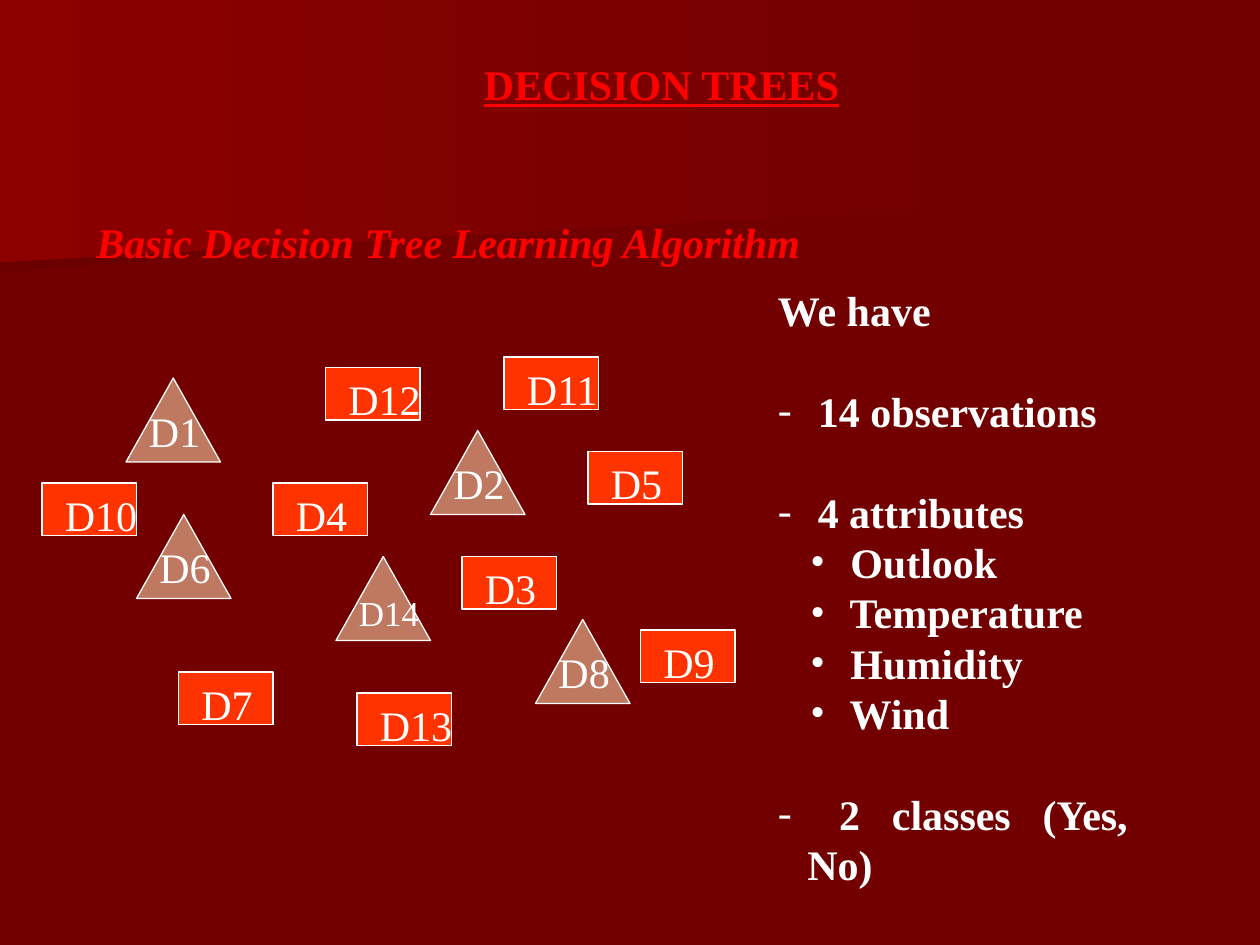
import pptx
import pptx.dml.color
import pptx.enum.shapes
import pptx.enum.text
import pptx.oxml
import pptx.oxml.ns
import pptx.util

RGBColor = pptx.dml.color.RGBColor
Shape = pptx.enum.shapes.MSO_SHAPE
Align = pptx.enum.text.PP_ALIGN

MAROON = RGBColor(0x72, 0x00, 0x00)
DARK_MAROON = RGBColor(0x6B, 0x00, 0x00)
CRIMSON = RGBColor(0x8C, 0x00, 0x00)
RED = RGBColor(0xFF, 0x00, 0x00)
ORANGE = RGBColor(0xFF, 0x33, 0x00)
CLAY = RGBColor(0xBE, 0x79, 0x60)
WHITE = RGBColor(0xFF, 0xFF, 0xFF)

PX = 7620
LINE_HEIGHT = 28.8

SQUARES = [
    ("D13", 340, 660), ("D12", 310, 350), ("D11", 480, 340),
    ("D10", 40, 460), ("D9", 610, 600), ("D4", 260, 460),
    ("D7", 170, 640), ("D5", 560, 430), ("D3", 440, 530),
]
TRIANGLES = [
    ("D14", 320, 530), ("D8", 510, 590), ("D6", 130, 490),
    ("D2", 410, 410), ("D1", 120, 360),
]
FACTS = [
    ("We have", None, 0, False),
    (" 14 observations", "-", 0, True),
    (" 4 attributes", "-", 0, True),
    (" Outlook", "•", 1, False),
    (" Temperature", "•", 1, False),
    (" Humidity", "•", 1, False),
    (" Wind", "•", 1, False),
    (" 2 classes (Yes, No)", "-", 0, True),
]


def px(*lengths):
    return [pptx.util.Emu(length * PX) for length in lengths]


class SlideBuilder:
    font = "Times New Roman"

    def __init__(self, slide):
        self.slide = slide
        fill = slide.background.fill
        fill.solid()
        fill.fore_color.rgb = MAROON

    def band(self, points, start, end):
        builder = self.slide.shapes.build_freeform(*points[0], scale=PX)
        builder.add_line_segments(points[1:], close=True)
        shape = builder.convert_to_shape()
        shape.shadow.inherit = False
        shape.line.fill.background()
        shape.fill.gradient()
        shape.fill.gradient_angle = 0
        for stop, color, position in zip(shape.fill.gradient_stops, (start, end), (0, 1)):
            stop.color.rgb = color
            stop.position = position

    def text_box(self, area, shapes=None):
        box = (shapes or self.slide.shapes).add_textbox(*px(*area))
        box.text_frame.word_wrap = True
        return box.text_frame

    def style(self, para, text, color=WHITE, size=24, bold=False):
        para.text = text
        font = para.font
        font.name = self.font
        font.size = pptx.util.Pt(size)
        font.bold = bold
        font.color.rgb = color
        para.line_spacing = pptx.util.Pt(LINE_HEIGHT * size / 24)

    def heading(self, text, area, align, underline=False, italic=False):
        para = self.text_box(area).paragraphs[0]
        self.style(para, text, RED, bold=True)
        para.alignment = align
        para.font.underline = underline
        para.font.italic = italic

    def marker(self, label, left, top, kind, height, color, drop):
        group = self.slide.shapes.add_group_shape()
        shape = group.shapes.add_shape(kind, *px(left, top, 90, height))
        shape.shadow.inherit = False
        shape.fill.solid()
        shape.fill.fore_color.rgb = color
        shape.line.color.rgb = WHITE
        shape.line.width = pptx.util.Pt(0.75)
        small = kind == Shape.ISOSCELES_TRIANGLE and len(label) > 2
        width = 100 if len(label) > 2 else 80
        text_top = top + (27 if small else drop)
        frame = self.text_box((left + 10, text_top, width, 53 if small else 60), group.shapes)
        self.style(frame.paragraphs[0], label, size=20 if small else 24)

    def bullet(self, para, mark, level):
        hanging = 28
        props = para._p.get_or_add_pPr()
        props.set("marL", str((hanging + 31 * level) * PX))
        props.set("indent", str(-hanging * PX))
        namespace = pptx.oxml.ns.nsdecls("a")
        position = len(props.findall(pptx.oxml.ns.qn("a:lnSpc")))
        position += len(props.findall(pptx.oxml.ns.qn("a:spcBef")))
        parts = (
            f'<a:buClr {namespace}><a:srgbClr val="{WHITE}"/></a:buClr>',
            f'<a:buFont {namespace} typeface="{self.font}"/>',
            f'<a:buChar {namespace} char="{mark}"/>',
        )
        for offset, part in enumerate(parts):
            props.insert(position + offset, pptx.oxml.parse_xml(part))

    def fact_list(self, facts, area):
        frame = self.text_box(area)
        for index, (text, mark, level, gap) in enumerate(facts):
            para = frame.add_paragraph() if index else frame.paragraphs[0]
            self.style(para, text, bold=True)
            para.alignment = Align.JUSTIFY
            para.level = level
            if gap:
                para.space_before = pptx.util.Pt(LINE_HEIGHT)
            if mark:
                self.bullet(para, mark, level)


def main():
    deck = pptx.Presentation()
    deck.slide_width, deck.slide_height = px(1200, 900)
    page = SlideBuilder(deck.slides.add_slide(deck.slide_layouts[6]))
    page.band([(934, 184), (0, 260), (0, 121), (935, 121)], DARK_MAROON, MAROON)
    page.band([(950, 194), (0, 250), (0, 0), (950, 0)], CRIMSON, MAROON)
    for square in SQUARES:
        page.marker(*square, Shape.RECTANGLE, 50, ORANGE, 0)
    for triangle in TRIANGLES:
        page.marker(*triangle, Shape.ISOSCELES_TRIANGLE, 80, CLAY, 20)
    page.heading("DECISION TREES", (100, 50, 1060, 60), Align.CENTER, underline=True)
    page.heading("Basic Decision Tree Learning Algorithm", (80, 200, 1073, 60),
                 Align.JUSTIFY, italic=True)
    page.fact_list(FACTS, (729, 265, 357, 540))
    deck.save("out.pptx")


if __name__ == "__main__":
    main()
